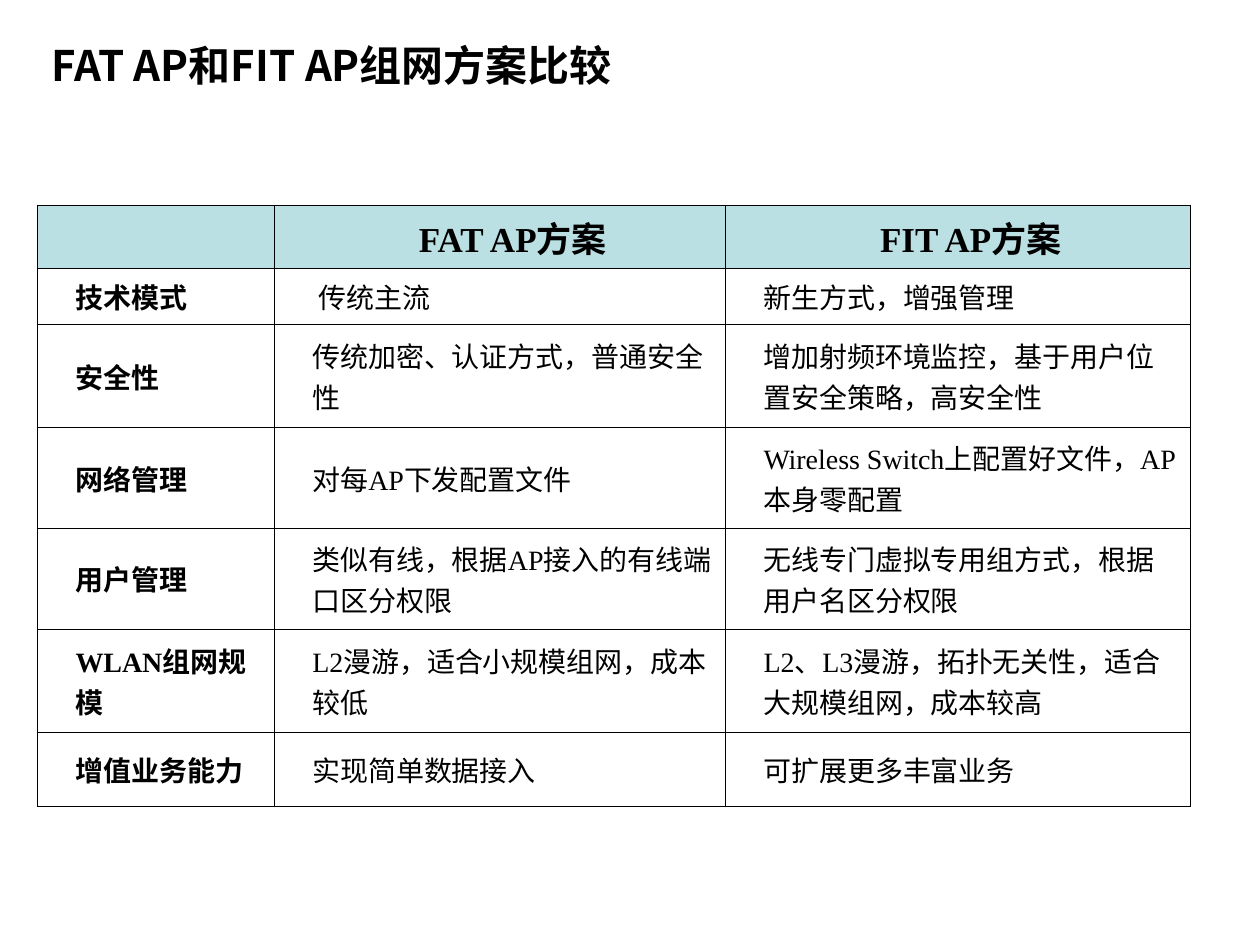
from lxml import etree
from pptx import Presentation
from pptx import util as u
from pptx.dml.color import RGBColor
from pptx.enum import text
from pptx.oxml.ns import qn

COLUMNS = [1.88, 3.58, 3.69]
ROWS = [0.44, 0.44, 0.82, 0.8, 0.8, 0.82, 0.59]
COMPARISON = [
    ["", "FAT AP方案", "FIT AP方案"],
    ["技术模式", " 传统主流", "新生方式，增强管理"],
    ["安全性", "传统加密、认证方式，普通安全性", "增加射频环境监控，基于用户位置安全策略，高安全性"],
    ["网络管理", "对每AP下发配置文件", "Wireless Switch上配置好文件，AP本身零配置"],
    ["用户管理", "类似有线，根据AP接入的有线端口区分权限", "无线专门虚拟专用组方式，根据用户名区分权限"],
    ["WLAN组网规模", "L2漫游，适合小规模组网，成本较低", "L2、L3漫游，拓扑无关性，适合大规模组网，成本较高"],
    ["增值业务能力", "实现简单数据接入", "可扩展更多丰富业务"],
]


def color(value):
    return RGBColor.from_string(value)


class SlideBuilder:
    cjk_font = "Noto Sans CJK SC"
    table_font = "Times New Roman"
    ink = "000000"
    header_fill = "BBE0E3"
    border_width = u.Pt(0.45)
    cell_indent = u.Inches(0.2)

    def __init__(self, page):
        self.page = page

    def style(self, para, size, font, bold, align):
        para.alignment = align
        para.font.size = u.Pt(size)
        para.font.name = font
        para.font.bold = bold
        para.font.color.rgb = color(self.ink)
        defaults = para._p.get_or_add_pPr().find(qn("a:defRPr"))
        etree.SubElement(defaults, qn("a:ea"), typeface=self.cjk_font)

    def title(self, words, left, top, width, height):
        box = self.page.shapes.title
        box.left, box.top = u.Inches(left), u.Inches(top)
        box.width, box.height = u.Inches(width), u.Inches(height)
        box.text_frame.text = words
        box.text_frame.vertical_anchor = text.MSO_ANCHOR.MIDDLE
        self.style(box.text_frame.paragraphs[0], 24, self.cjk_font, True, text.PP_ALIGN.LEFT)

    def borders(self, cell):
        properties = cell._tc.get_or_add_tcPr()
        for side in ("lnL", "lnR", "lnT", "lnB"):
            line = etree.SubElement(properties, qn(f"a:{side}"), w=str(self.border_width))
            fill = etree.SubElement(line, qn("a:solidFill"))
            etree.SubElement(fill, qn("a:srgbClr"), val=self.ink)

    def cell(self, cell, words, header, label):
        self.borders(cell)
        if header:
            cell.fill.solid()
            cell.fill.fore_color.rgb = color(self.header_fill)
        else:
            cell.fill.background()
        cell.vertical_anchor = text.MSO_ANCHOR.MIDDLE
        if not words:
            return
        cell.text = words
        para = cell.text_frame.paragraphs[0]
        para._p.get_or_add_pPr().set("marL", str(self.cell_indent))
        align = text.PP_ALIGN.CENTER if header else text.PP_ALIGN.LEFT
        self.style(para, 20 if header else 16, self.table_font, header or label, align)

    def table(self, content, left, top, columns, rows):
        frame = self.page.shapes.add_table(
            len(rows), len(columns), u.Inches(left), u.Inches(top),
            u.Inches(sum(columns)), u.Inches(sum(rows)))
        table = frame.table
        table.first_row = False
        table.horz_banding = False
        for column, width in zip(table.columns, columns):
            column.width = u.Inches(width)
        for row, height in zip(table.rows, rows):
            row.height = u.Inches(height)
        for i, line in enumerate(content):
            for j, words in enumerate(line):
                self.cell(table.cell(i, j), words, header=i == 0, label=j == 0)


def main():
    deck = Presentation()
    deck.slide_width, deck.slide_height = u.Inches(10), u.Inches(7.5)
    builder = SlideBuilder(deck.slides.add_slide(deck.slide_layouts[5]))
    builder.title("FAT AP和FIT AP组网方案比较", 0.31, 0.16, 9.32, 0.71)
    builder.table(COMPARISON, 0.3, 1.63, COLUMNS, ROWS)
    deck.save("out.pptx")


if __name__ == "__main__":
    main()
